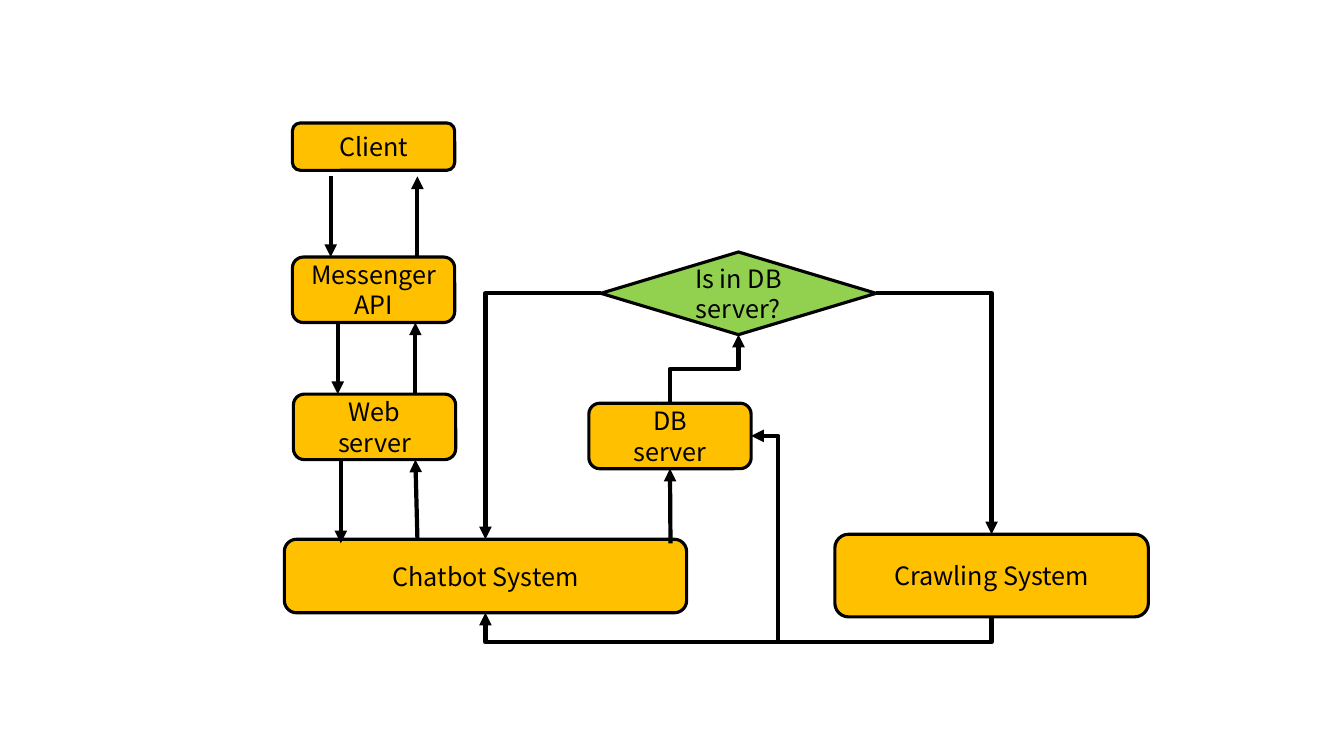
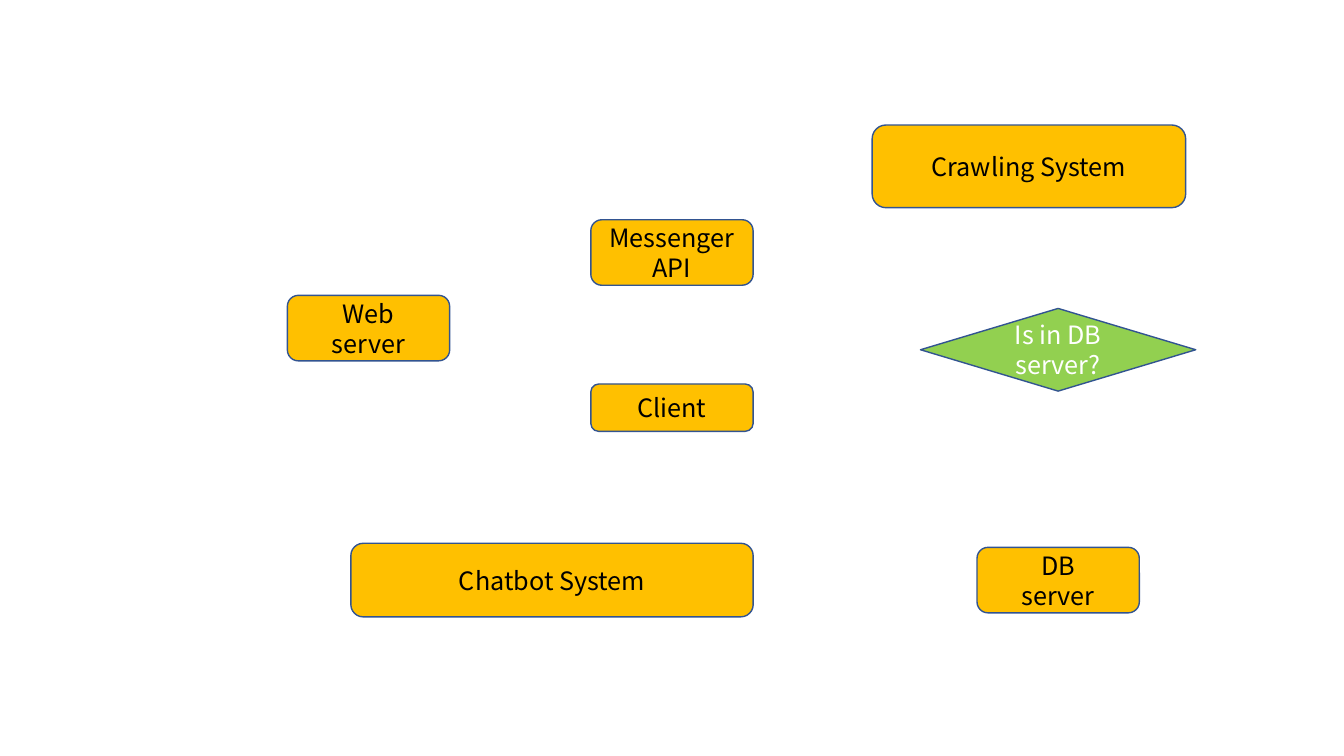
import math
from dataclasses import dataclass

from lxml import etree
from pptx import Presentation
from pptx import util as u
from pptx.dml.color import RGBColor
from pptx.enum import shapes, text
from pptx.oxml.ns import qn

FONT = "Noto Sans CJK KR"
AMBER, GREEN, BLACK, WHITE, NAVY = "FFC000", "92D050", "000000", "FFFFFF", "325491"
ROUND = shapes.MSO_SHAPE.ROUNDED_RECTANGLE
RIGHT, DOWN, LEFT, UP = 0, 90, 180, 270


@dataclass(frozen=True)
class Node:
    label: str
    w: float = 1.61
    h: float = 0.65
    shape: int = ROUND
    fill: str = AMBER


@dataclass(frozen=True)
class Elbow:
    start: tuple[float, float]
    end: tuple[float, float]
    heading: int  # direction in which the line leaves its start
    lead: float = 0  # distance to the first of two bends; 0 means one bend


# Nodes that both slides use
NODES = {
    "web": Node("Web\nserver"),
    "db": Node("DB\nserver"),
    "client": Node("Client", h=0.47),
    "api": Node("Messenger API"),
    "chatbot": Node("Chatbot System", 3.99, 0.73),
    "crawler": Node("Crawling System", 3.11, 0.82),
    "check": Node("Is in DB server?", 2.73, 0.82, shapes.MSO_SHAPE.DIAMOND, GREEN),
}

FLOW = {
    "web": (2.91, 3.91), "db": (5.84, 4), "client": (2.9, 1.22), "api": (2.9, 2.55),
    "chatbot": (2.82, 5.35), "crawler": (8.28, 5.3), "check": (5.96, 2.5),
}
SCATTER = {
    "web": (2.85, 2.93), "db": (9.69, 5.43), "client": (5.86, 3.81), "api": (5.86, 2.18),
    "chatbot": (3.48, 5.39), "crawler": (8.65, 1.24), "check": (9.13, 3.06),
}

# Requests going down and replies going up between the stacked nodes
STRAIGHT = [
    ((3.28, 1.75), (3.28, 2.55)),
    ((3.35, 3.2), (3.35, 3.91)),
    ((3.38, 4.56), (3.38, 5.39)),
    ((4.14, 5.34), (4.12, 4.56)),
    ((4.12, 3.91), (4.12, 3.2)),
    ((4.14, 2.55), (4.14, 1.75)),
]


def rgb(color: str) -> RGBColor:
    return RGBColor.from_string(color)


def write(sp, content: str, *, size: float = 18, color: str = BLACK,
          align=text.PP_ALIGN.CENTER) -> None:
    tf = sp.text_frame
    tf.word_wrap = True
    tf.vertical_anchor = text.MSO_ANCHOR.MIDDLE
    tf.text = content
    for p in tf.paragraphs:
        p.alignment = align
        for r in p.runs:
            r.font.name, r.font.size = FONT, u.Pt(size)
            r.font.color.rgb = rgb(color)


def add_nodes(s, places: dict, line: str, width: float, check_text: str) -> dict:
    drawn = {}
    for name, (x, y) in places.items():
        node = NODES[name]
        sp = s.shapes.add_shape(node.shape, *map(u.Inches, (x, y, node.w, node.h)))
        sp.shadow.inherit = False
        sp.fill.solid()
        sp.fill.fore_color.rgb = rgb(node.fill)
        sp.line.color.rgb = rgb(line)
        sp.line.width = u.Pt(width)
        write(sp, node.label, color=check_text if name == "check" else BLACK)
        drawn[name] = sp
    return drawn


def add_arrow(s, start: tuple, end: tuple, kind=shapes.MSO_CONNECTOR.STRAIGHT):
    cx = s.shapes.add_connector(kind, *map(u.Inches, (*start, *end)))
    cx.line.color.rgb = rgb(BLACK)
    cx.line.width = u.Pt(3)
    etree.SubElement(cx.line._get_or_add_ln(), qn("a:tailEnd"), type="triangle")
    etree.SubElement(cx._element.spPr, qn("a:effectLst"))
    return cx


def add_elbow(s, elbow: Elbow) -> None:
    (x1, y1), (x2, y2) = elbow.start, elbow.end
    turn = math.radians(elbow.heading)
    cos, sin = round(math.cos(turn)), round(math.sin(turn))
    # Extent along the heading and across it
    along = (x2 - x1) * cos + (y2 - y1) * sin
    across = (y2 - y1) * cos - (x2 - x1) * sin
    w, h = abs(along), abs(across)
    left, top = (x1 + x2 - w) / 2, (y1 + y2 - h) / 2
    cx = add_arrow(s, (left, top), (left + w, top + h), shapes.MSO_CONNECTOR.ELBOW)
    xfrm = cx._element.spPr.find(qn("a:xfrm"))
    xfrm.set("rot", str(elbow.heading * 60000))
    if along < 0:
        xfrm.set("flipH", "1")
    if across < 0:
        xfrm.set("flipV", "1")
    geom = cx._element.spPr.find(qn("a:prstGeom"))
    if elbow.lead:
        guides = geom.find(qn("a:avLst"))
        if guides is None:
            guides = etree.SubElement(geom, qn("a:avLst"))
        ratio = round(elbow.lead / along * 100000)
        etree.SubElement(guides, qn("a:gd"), name="adj1", fmla=f"val {ratio}")
    else:
        geom.set("prst", "bentConnector2")


def side(name: str, heading: int) -> tuple[float, float]:
    """Middle of one side of a node on the flow slide."""
    (x, y), node = FLOW[name], NODES[name]
    fx, fy = {RIGHT: (1, 0.5), DOWN: (0.5, 1), LEFT: (0, 0.5), UP: (0.5, 0)}[heading]
    return x + node.w * fx, y + node.h * fy


def flow_slide(prs) -> None:
    s = prs.slides.add_slide(prs.slide_layouts[6])
    drawn = add_nodes(s, FLOW, BLACK, 2.25, BLACK)
    for start, end in STRAIGHT:
        add_arrow(s, start, end)
    # Lookup in the database
    lookup = add_arrow(s, (6.65, 5.39), side("db", DOWN))
    lookup.end_connect(drawn["db"], 2)
    # Decision branches and the return of crawled data
    for elbow in (
        Elbow(side("check", RIGHT), side("crawler", UP), RIGHT),
        Elbow(side("check", LEFT), side("chatbot", UP), LEFT),
        Elbow(side("crawler", DOWN), side("chatbot", DOWN), DOWN, 0.25),
        Elbow((7.72, 6.35), side("db", RIGHT), UP),
        Elbow(side("db", UP), side("check", DOWN), UP, 0.34),
    ):
        add_elbow(s, elbow)


def scatter_slide(prs) -> None:
    s = prs.slides.add_slide(prs.slide_layouts[6])
    add_nodes(s, SCATTER, NAVY, 1, WHITE)


def main() -> None:
    prs = Presentation()
    prs.slide_width, prs.slide_height = u.Inches(13.33), u.Inches(7.5)
    flow_slide(prs)
    scatter_slide(prs)
    prs.save("out.pptx")


if __name__ == "__main__":
    main()
